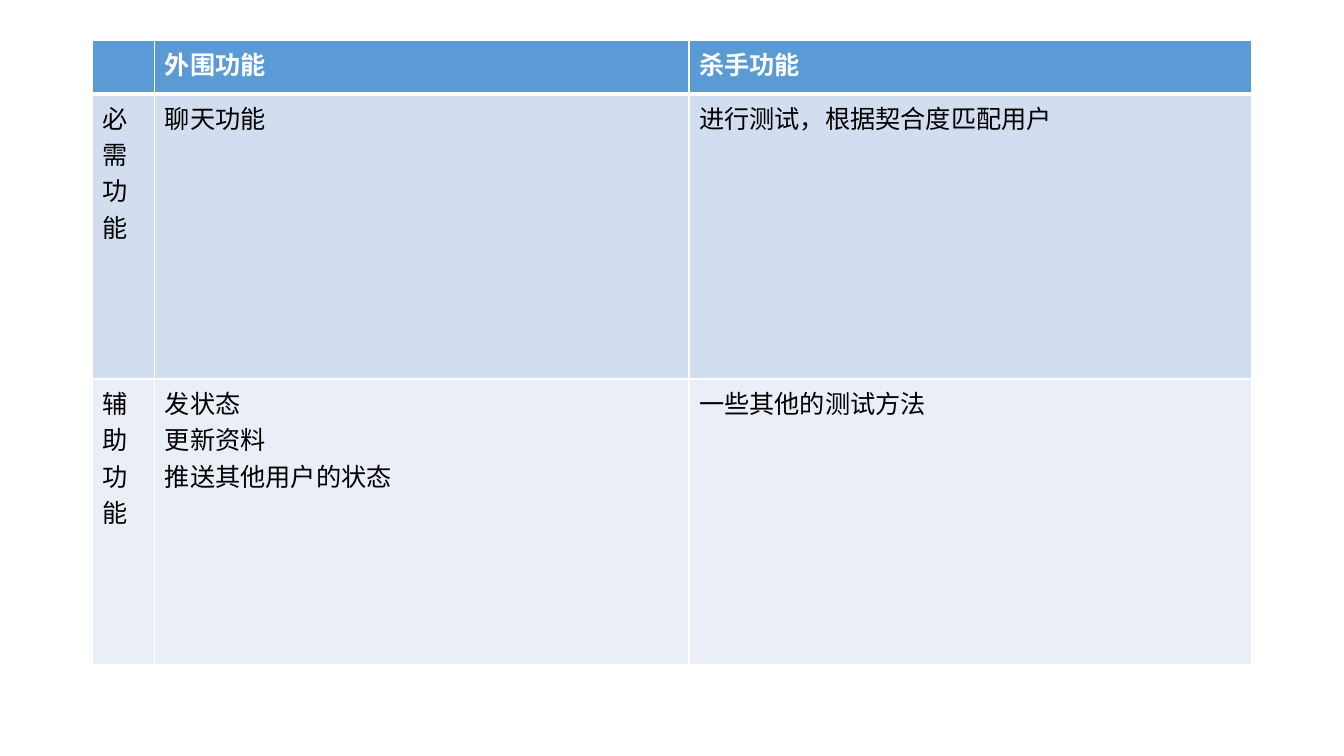
from lxml import etree
from pptx import Presentation
from pptx.dml.color import RGBColor
from pptx.oxml.ns import qn
from pptx.util import Pt

# Content
ROWS = [
    ["", "外围功能", "杀手功能"],
    ["必需功能", "聊天功能", "进行测试，根据契合度匹配用户"],
    ["辅助功能", "发状态\n更新资料\n推送其他用户的状态", "一些其他的测试方法"],
]
COLORS = {"header": "5B9BD5", "band1": "D2DEEF", "band2": "EAEFF7",
          "line": "FFFFFF", "head_text": "FFFFFF", "body_text": "000000"}
ROW_FILLS = ["header", "band1", "band2"]

# Layout in points
LEFT, TOP = 66, 28.8
COL_WIDTHS = [44.64, 381.6, 401.76]
ROW_HEIGHTS = [38.16, 203.76, 203.76]
THIN, THICK = 1, 3


def rgb(name):
    return RGBColor.from_string(COLORS[name])


def add_border(cell, side, width):
    tc_pr = cell._tc.get_or_add_tcPr()
    ln = etree.SubElement(tc_pr, qn(f"a:ln{side}"), w=str(Pt(width)))
    fill = etree.SubElement(ln, qn("a:solidFill"))
    etree.SubElement(fill, qn("a:srgbClr"), val=COLORS["line"])


def format_cell(cell, value, row):
    header = row == 0
    # Thick rule between the header and the body
    widths = {"L": THIN, "R": THIN,
              "T": THICK if row == 1 else THIN,
              "B": THICK if header else THIN}
    for side, width in widths.items():
        add_border(cell, side, width)
    cell.fill.solid()
    cell.fill.fore_color.rgb = rgb(ROW_FILLS[row])

    cell.text_frame.text = value
    font_format = {"name": "Calibri", "size": Pt(18), "bold": header}
    for p in cell.text_frame.paragraphs:
        for target in [p, *p.runs]:
            for key, val in font_format.items():
                setattr(target.font, key, val)
            target.font.color.rgb = rgb("head_text" if header else "body_text")


def main():
    prs = Presentation()
    prs.slide_width, prs.slide_height = Pt(960), Pt(540)
    s = prs.slides.add_slide(prs.slide_layouts[6])

    # Feature table
    table = s.shapes.add_table(
        len(ROWS), len(COL_WIDTHS), Pt(LEFT), Pt(TOP),
        Pt(sum(COL_WIDTHS)), Pt(sum(ROW_HEIGHTS))).table
    for column, width in zip(table.columns, COL_WIDTHS):
        column.width = Pt(width)
    for row, height in zip(table.rows, ROW_HEIGHTS):
        row.height = Pt(height)
    for i, values in enumerate(ROWS):
        for j, value in enumerate(values):
            format_cell(table.cell(i, j), value, i)

    prs.save("out.pptx")


if __name__ == "__main__":
    main()
